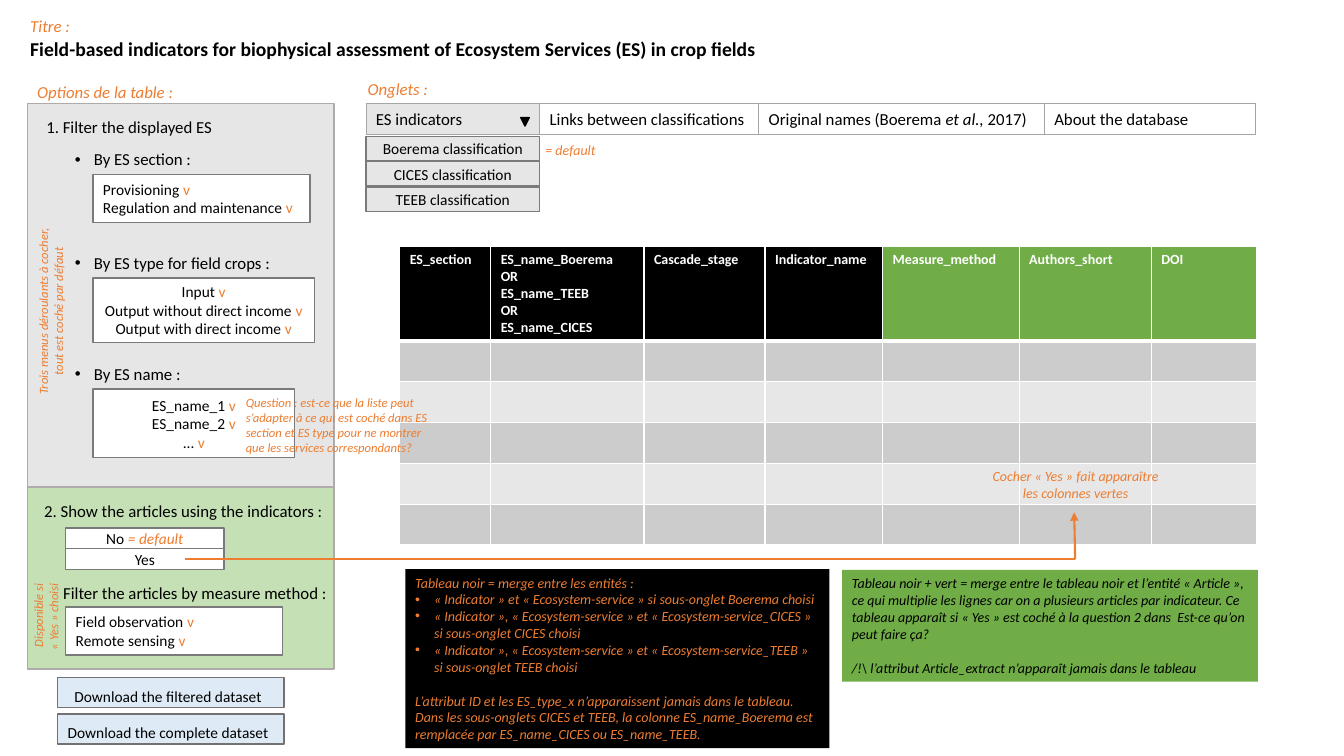
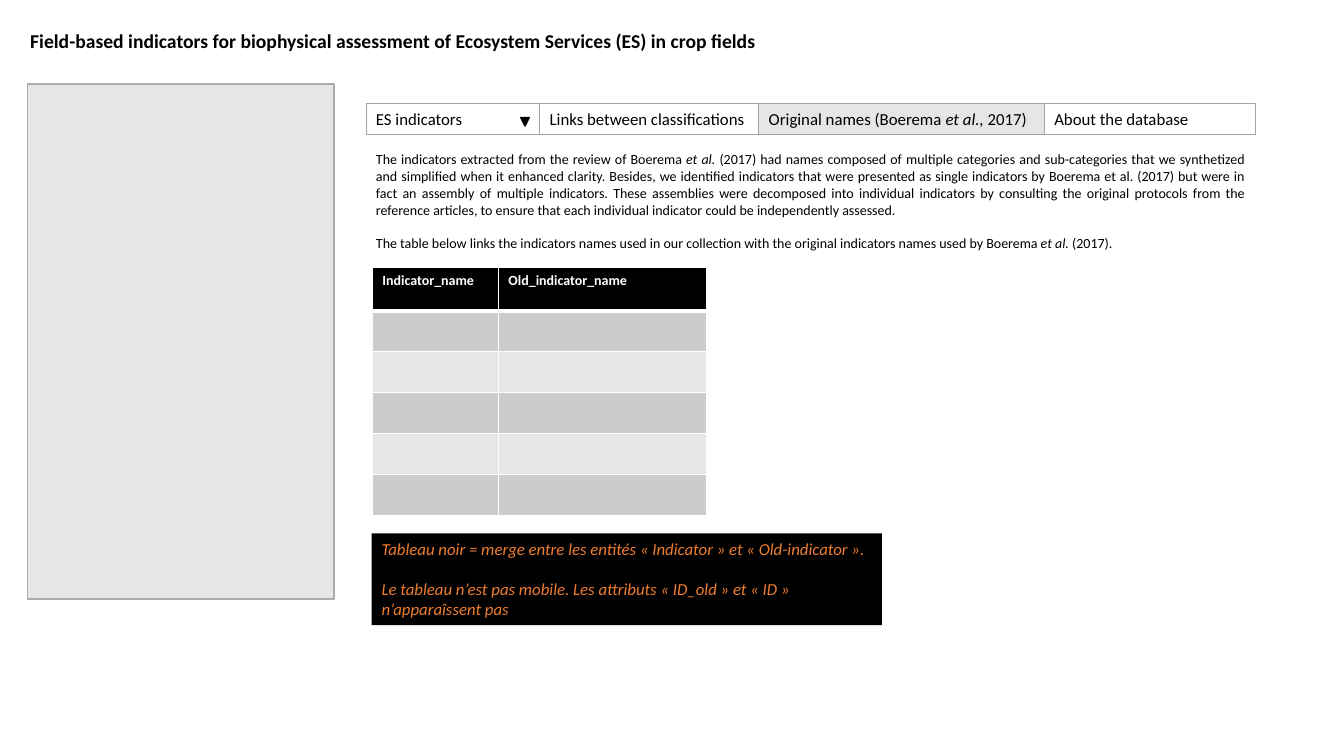
from lxml.etree import SubElement
from pptx import Presentation
from pptx.dml.color import RGBColor
from pptx.enum.shapes import MSO_CONNECTOR, MSO_SHAPE
from pptx.enum.text import MSO_ANCHOR, PP_ALIGN
from pptx.oxml.ns import qn
from pptx.util import Pt

INK = {
    "black": "000000", "white": "FFFFFF", "orange": "ED7D31",
    "grey": "E7E6E6", "mint": "C5E0B4", "green": "70AD47", "sky": "DEEBF7",
    "dark": "CCCCCC", "light": "E7E7E7",
    "tab": "A5A5A5", "panel": "AFABAB", "field": "7A7A7A", "button": "767171",
}
FONT = "Calibri"
LEFT, CENTER = PP_ALIGN.LEFT, PP_ALIGN.CENTER
NBSP = chr(160)
INDENT = Pt(13.5)
HEADING = ("Field-based indicators for biophysical assessment of "
           "Ecosystem Services (ES) in crop fields")
TABS = [("ES indicators", 124), ("Links between classifications", 156.5),
        ("Original names (Boerema |et al., |2017)", 204),
        ("About the database", 151)]
CHECK = ("orange", False)    # accent of tick marks
HINT = ("orange", True)      # accent of remarks inside a field
CITE = ("black", True)       # accent of citations


def rgb(name):
    return RGBColor.from_string(INK[name])


def style(font, size, ink, bold=False, italic=False):
    font.name, font.size = FONT, Pt(size)
    font.bold, font.italic = bold, italic
    font.color.rgb = rgb(ink)


def bullet(para):
    props = para._p.get_or_add_pPr()
    props.set("marL", str(INDENT))
    props.set("indent", str(-INDENT))
    SubElement(props, qn("a:buFont")).set("typeface", "Arial")
    SubElement(props, qn("a:buChar")).set("char", "•")


def write(frame, lines, size, ink, accent=CITE, bold=False, italic=False,
          align=LEFT, gaps=None):
    """Text between bars takes the accent; a leading • makes a bullet."""
    for i, line in enumerate(lines):
        para = frame.paragraphs[0] if i == 0 else frame.add_paragraph()
        para.alignment = align
        style(para.font, size, ink, bold, italic)
        if gaps and i in gaps:
            para.space_before = Pt(gaps[i])
        if line.startswith("•"):
            bullet(para)
        line = line.lstrip("• ").replace("« ", "«" + NBSP).replace(" »", NBSP + "»")
        for j, part in enumerate(line.split("|")):
            if part:
                run = para.add_run()
                run.text = part
                if j % 2:
                    style(run.font, size, accent[0], bold, accent[1])


def box(slide, area, lines=(), size=12, ink="black", fill=None, edge=None,
        width=1, mid=False, turn=0, **look):
    area = [Pt(v) for v in area]
    if fill:
        shape = slide.shapes.add_shape(MSO_SHAPE.RECTANGLE, *area)
        shape.shadow.inherit = False
        shape.fill.solid()
        shape.fill.fore_color.rgb = rgb(fill)
        if edge:
            shape.line.color.rgb = rgb(edge)
            shape.line.width = Pt(width)
        else:
            shape.line.fill.background()
    else:
        shape = slide.shapes.add_textbox(*area)
    shape.rotation = turn
    frame = shape.text_frame
    frame.word_wrap = True
    frame.vertical_anchor = MSO_ANCHOR.MIDDLE if mid else MSO_ANCHOR.TOP
    if mid:
        frame.margin_top = frame.margin_bottom = 0
    write(frame, lines, size, ink, **look)
    return shape


def note(slide, area, text, size=12, **look):
    box(slide, area, [text], size, "orange", italic=True, **look)


def field(slide, area, lines, fill="white", edge="field", **look):
    return box(slide, area, lines, 11, fill=fill, edge=edge, mid=True, **look)


def title(slide, x, y):
    box(slide, (x, y, 682, 25), [HEADING], 14, bold=True)


def tabs(slide, x, y, active):
    left = x
    for i, (label, wide) in enumerate(TABS):
        box(slide, (left, y, wide, 21.8), [label], edge="tab", width=0.75,
            fill="grey" if i == active else "white")
        left += wide
    mark = slide.shapes.add_shape(MSO_SHAPE.ISOSCELES_TRIANGLE, Pt(x + 110.5),
                                  Pt(y + 10), Pt(6), Pt(6))
    mark.rotation = 180
    mark.shadow.inherit = False
    mark.fill.solid()
    mark.fill.fore_color.rgb = mark.line.color.rgb = rgb("black")
    mark.line.width = Pt(1)


def border(cell, top, bottom):
    props = cell._tc.get_or_add_tcPr()
    for side, wide in zip("LRTB", (1, 1, top, bottom)):
        line = SubElement(props, qn("a:ln" + side), w=str(Pt(wide)))
        fill = SubElement(line, qn("a:solidFill"))
        SubElement(fill, qn("a:srgbClr"), val=INK["white"])


def grid(slide, x, y, heads, wides, tall, greens=0):
    """Header row over five striped rows; the last heads may be green."""
    count, row = len(heads), 29.2
    table = slide.shapes.add_table(6, count, Pt(x), Pt(y), Pt(sum(wides)),
                                   Pt(tall + 5 * row)).table
    for c, wide in enumerate(wides):
        table.columns[c].width = Pt(wide)
    for r in range(6):
        table.rows[r].height = Pt(row if r else tall)
        for c in range(count):
            cell = table.cell(r, c)
            border(cell, 3 if r == 1 else 1, 1 if r else 3)
            if r:
                fill = "dark" if r % 2 else "light"
            else:
                fill = "green" if c >= count - greens else "black"
                write(cell.text_frame, heads[c].split("/"), 10, "white", bold=True)
            cell.fill.solid()
            cell.fill.fore_color.rgb = rgb(fill)


def panel(slide, x, y, tall, fill="grey"):
    box(slide, (x, y, 219, tall), fill=fill, edge="panel")


def filters(slide, x, y):
    panel(slide, x, y, 277)
    note(slide, (x, y - 19.5, 113, 22), "Options de la table :")
    box(slide, (x + 6.5, y + 6, 158, 22), ["1. Filter the displayed ES"])
    menus = [
        ("By ES section :", 29, 155, 34.5, LEFT,
         ["Provisioning |v", "Regulation and maintenance |v"]),
        ("By ES type for field crops :", 103, 158, 46, CENTER,
         ["Input |v", "Output without direct income |v",
          "Output with direct income |v"]),
        ("By ES name :", 182.5, 144, 49, CENTER,
         ["ES_name_1 |v", "ES_name_2 |v", "... |v"]),
    ]
    for label, dy, wide, tall, align, items in menus:
        box(slide, (x + 27, y + dy, 158, 22), ["• " + label])
        field(slide, (x + 47, y + dy + 21.5, wide, tall), items,
              accent=CHECK, align=align)
    note(slide, (x - 54.5, y + 134, 142.5, 29),
         "Trois menus déroulants à cocher, tout est coché par défaut", 9,
         turn=270, align=CENTER)
    note(slide, (x + 149, y + 204.5, 147, 51),
         "Question : est-ce que la liste peut s’adapter à ce qui est coché "
         "dans ES section et ES type pour ne montrer que les services "
         "correspondants?", 9)


def articles(slide, x, y):
    panel(slide, x, y, 130, "mint")
    box(slide, (x + 5, y + 6, 219, 22),
        ["2. Show the articles using the indicators :"])
    box(slide, (x + 18.5, y + 64.5, 206, 22),
        ["Filter the articles by measure method :"])
    for i, answer in enumerate(["No |= default", "Yes"]):
        field(slide, (x + 27.5, y + 29 + 15 * i, 113, 15), [answer],
              accent=HINT, align=CENTER)
    field(slide, (x + 27.5, y + 85.5, 155, 34.5),
          ["Field observation |v", "Remote sensing |v"], accent=CHECK)
    note(slide, (x - 18.5, y + 79, 63.5, 29), "Disponible si « Yes » choisi", 9,
         turn=270, align=PP_ALIGN.RIGHT)


def buttons(slide, x, y):
    for i, kind in enumerate(["filtered", "complete"]):
        shape = field(slide, (x, y + 26 * i, 162, 21.5),
                      [f"Download the {kind} dataset"], "sky", "button",
                      align=CENTER)
        shape.text_frame.margin_top = Pt(4.8)
        shape.text_frame.margin_right = Pt(11)


def submenu(slide, x, y):
    for i, name in enumerate(["Boerema", "CICES", "TEEB"]):
        field(slide, (x, y + 18 * i, 124, 17.5), [name + " classification"],
              "grey", align=CENTER)
    note(slide, (x + 121, y, 113, 19.5), "= default", 10)


def line(slide, start, end, arrow=False):
    link = slide.shapes.add_connector(MSO_CONNECTOR.STRAIGHT,
                                      *[Pt(v) for v in start + end])
    link.line.color.rgb = rgb("orange")
    link.line.width = Pt(1.5)
    if arrow:
        SubElement(link.line._get_or_add_ln(), qn("a:tailEnd"), type="triangle")
    SubElement(link._element.spPr, qn("a:effectLst"))


def reveal(slide, x, y, wide, tall):
    """Path from the Yes answer up to the green columns."""
    turn = (x + wide, y)
    line(slide, (x, y), turn)
    line(slide, turn, (x + wide - 0.7, y - tall), arrow=True)
    note(slide, (x + wide - 67, y - tall - 35.5, 134.5, 31.5),
         "Cocher « Yes » fait apparaître les colonnes vertes", 10, align=CENTER)


def remarks(slide, x, y):
    box(slide, (x, y, 303, 128), [
        "Tableau noir = merge entre les entités :",
        "• « Indicator » et « Ecosystem-service » si sous-onglet Boerema choisi",
        "• « Indicator », « Ecosystem-service » et « Ecosystem-service_CICES » "
        "si sous-onglet CICES choisi",
        "• « Indicator », « Ecosystem-service » et « Ecosystem-service_TEEB » "
        "si sous-onglet TEEB choisi",
        "L’attribut ID et les ES_type_x n’apparaissent jamais dans le tableau.",
        "Dans les sous-onglets CICES et TEEB, la colonne ES_name_Boerema est "
        "remplacée par ES_name_CICES ou ES_name_TEEB.",
    ], 10, "orange", "black", italic=True, gaps={4: 12.2})
    box(slide, (x + 312, y + 0.5, 297, 80), [
        "Tableau noir + vert = merge entre le tableau noir et l’entité "
        "« Article », ce qui multiplie les lignes car on a plusieurs articles "
        "par indicateur. Ce tableau apparaît si « Yes » est coché à la "
        "question 2 dans  Est-ce qu’on peut faire ça?",
        "/!\\ l’attribut Article_extract n’apparaît jamais dans le tableau",
    ], 10, fill="green", italic=True, gaps={1: 12.2})


def home(slide):
    note(slide, (14.5, 8, 682, 22), "Titre :")
    title(slide, 14.5, 22.5)
    note(slide, (255.5, 52.5, 66, 22), "Onglets :")
    tabs(slide, 261.5, 74, 0)
    submenu(slide, 261.5, 97.5)
    grid(slide, 285.5, 176,
         ["ES_section", "ES_name_Boerema/OR/ES_name_TEEB/OR/ES_name_CICES",
          "Cascade_stage", "Indicator_name", "Measure_method",
          "Authors_short", "DOI"],
         [65, 109.5, 86.5, 84, 97.5, 94.5, 75.5], 67, greens=3)
    filters(slide, 19.5, 74)
    articles(slide, 19.5, 348)
    buttons(slide, 41, 484)
    remarks(slide, 289.5, 406.5)
    reveal(slide, 132.5, 399.5, 635.5, 33.5)


def names(slide):
    title(slide, 14.5, 17)
    panel(slide, 19.5, 60, 368)
    tabs(slide, 261.5, 74, 2)
    box(slide, (261.5, 104, 634.5, 80), [
        "The indicators extracted from the review of Boerema |et al. |(2017) "
        "had names composed of multiple categories and sub-categories that we "
        "synthetized and simplified when it enhanced clarity. Besides, we "
        "identified indicators that were presented as single indicators by "
        "Boerema et al. (2017) but were in fact an assembly of multiple "
        "indicators. These assemblies were decomposed into individual "
        "indicators by consulting the original protocols from the reference "
        "articles, to ensure that each individual indicator could be "
        "independently assessed.",
        "The table below links the indicators names used in our collection "
        "with the original indicators names used by Boerema |et al. |(2017).",
    ], 10, align=PP_ALIGN.JUSTIFY, gaps={1: 12.2})
    grid(slide, 266, 191, ["Indicator_name", "Old_indicator_name"],
         [90, 149], 31)
    box(slide, (265.5, 381, 364.5, 65.5), [
        "Tableau noir = merge entre les entités « Indicator » et "
        "« Old-indicator ».",
        "Le tableau n’est pas mobile. Les attributs « ID_old » et « ID » "
        "n’apparaîssent pas",
    ], 12, "orange", "black", italic=True, gaps={1: 14.6})


def main():
    deck = Presentation()
    deck.slide_width, deck.slide_height = Pt(960), Pt(540)
    for build in (home, names):
        build(deck.slides.add_slide(deck.slide_layouts[6]))
    deck.save("out.pptx")


if __name__ == "__main__":
    main()
